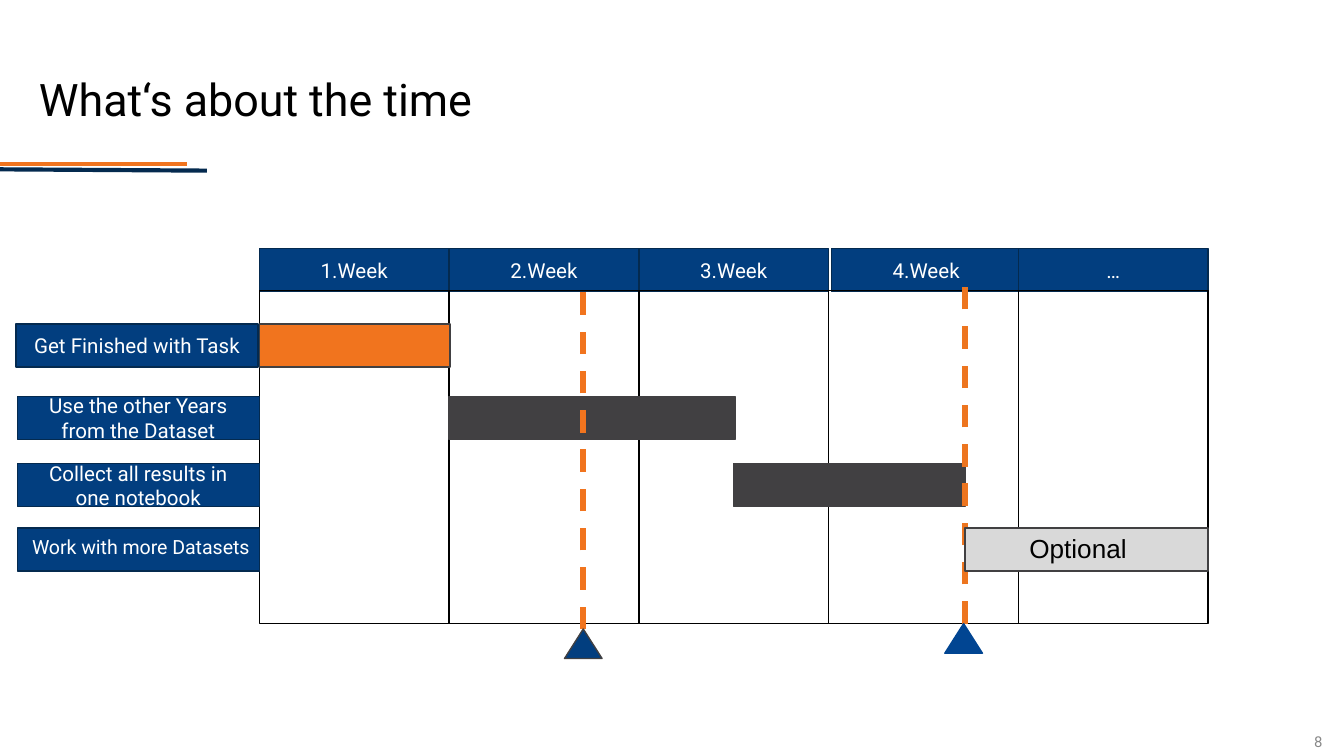
from lxml.etree import SubElement
from pptx import Presentation
from pptx.dml.color import RGBColor
from pptx.enum.dml import MSO_LINE
from pptx.enum.shapes import MSO_CONNECTOR, MSO_SHAPE
from pptx.enum.text import MSO_ANCHOR, PP_ALIGN
from pptx.oxml.ns import qn
from pptx.util import Inches, Pt

NAVY, DEEP_NAVY, BLUE = "023E7F", "042A4F", "014592"
ORANGE, AMBER, CHARCOAL, SILVER = "F1741E", "ED751F", "414042", "D9D9D9"
BLACK, WHITE, GREY = "000000", "FFFFFF", "888888"

WEEKS = ["1.Week", "2.Week", "3.Week", "4.Week", "…"]
HEADER_SHIFT = {"4.Week": 0.02}
# label, label left, top, bar left, bar width, bar fill
TASKS = [
    ("Get Finished with Task", 0.12, 2.41, 1.93, 1.42, ORANGE),
    ("Use the other Years from the Dataset", 0.13, 2.95, 3.34, 2.13, CHARCOAL),
    ("Collect all results in one notebook", 0.13, 3.45, 5.46, 1.72, CHARCOAL),
]
OPTIONAL_TOP = 3.93
# x, line bottom, line top, line colour, triangle left, fill, outline
MILESTONES = [
    (4.34, 4.68, 2.12, ORANGE, 4.2, NAVY, CHARCOAL),
    (7.18, 4.64, 2.07, AMBER, 7.03, BLUE, BLUE),
]
ACCENTS = [(1.22, 1.39, 1.22, ORANGE), (1.26, 1.54, 1.27, DEEP_NAVY)]

GRID_LEFT, GRID_RIGHT = 1.93, 8.99
COLUMN_WIDTH = (GRID_RIGHT - GRID_LEFT) / len(WEEKS)
HEADER_TOP, BODY_TOP, BODY_HEIGHT = 1.85, 2.16, 2.48
ROW_HEIGHT, LABEL_WIDTH = 0.32, 1.8

presentation = Presentation()
presentation.slide_width = Inches(10)
presentation.slide_height = Inches(10 * 9 / 16)
slide = presentation.slides.add_slide(presentation.slide_layouts[6])


def rgb(value):
    return RGBColor.from_string(value)


def write(shape, text, size=11, font="Roboto", color=WHITE, align=PP_ALIGN.CENTER,
          anchor=MSO_ANCHOR.MIDDLE, insets=(0.1, 0.1), spacing=None):
    """Put formatted text in a shape; insets are horizontal, vertical."""
    frame = shape.text_frame
    frame.word_wrap = True
    frame.vertical_anchor = anchor
    frame.margin_left = frame.margin_right = Inches(insets[0])
    frame.margin_top = frame.margin_bottom = Inches(insets[1])
    paragraph = frame.paragraphs[0]
    paragraph.alignment = align
    paragraph.line_spacing = spacing
    run = paragraph.add_run()
    run.text = text
    run.font.size, run.font.name = Pt(size), font
    run.font.color.rgb = rgb(color)


def add_text(left, top, width, height, text, **text_format):
    box = slide.shapes.add_textbox(*map(Inches, (left, top, width, height)))
    write(box, text, **text_format)


def add_box(left, top, width, height, fill=None, line=DEEP_NAVY, kind=MSO_SHAPE.RECTANGLE):
    shape = slide.shapes.add_shape(kind, *map(Inches, (left, top, width, height)))
    shape.shadow.inherit = False
    if fill:
        shape.fill.solid()
        shape.fill.fore_color.rgb = rgb(fill)
    else:
        shape.fill.background()
    shape.line.color.rgb = rgb(line)
    shape.line.width = Pt(0.75)
    return shape


def add_line(x1, y1, x2, y2, color, width, dash=None):
    line = slide.shapes.add_connector(MSO_CONNECTOR.STRAIGHT, *map(Inches, (x1, y1, x2, y2)))
    line.line.color.rgb = rgb(color)
    line.line.width = Pt(width)
    if dash:
        line.line.dash_style = dash
    SubElement(line._element.spPr, qn("a:effectLst"))


# Title, accent lines and page number
for start_y, end_x, end_y, color in ACCENTS:
    add_line(0, start_y, end_x, end_y, color, 2.25)
add_text(0.22, 0.33, 8.66, 0.86, "What‘s about the time", size=24, color=BLACK,
         align=PP_ALIGN.LEFT, insets=(0.07, 0.04), spacing=0.9)
add_text(7.66, 5.37, 2.25, 0.3, "8", size=8, color=GREY,
         align=PP_ALIGN.RIGHT, insets=(0.07, 0.04))

# Week columns
for index, week in enumerate(WEEKS):
    left = GRID_LEFT + index * COLUMN_WIDTH
    header = add_box(left + HEADER_SHIFT.get(week, 0), HEADER_TOP, COLUMN_WIDTH, ROW_HEIGHT, NAVY)
    write(header, week)
    add_box(left, BODY_TOP, COLUMN_WIDTH, BODY_HEIGHT, line=BLACK)

# Task bars, then milestones above them
for _, _, top, left, width, fill in TASKS:
    add_box(left, top, width, ROW_HEIGHT, fill, CHARCOAL)
for x, bottom, top, color, left, fill, outline in MILESTONES:
    add_line(x, bottom, x, top, color, 3, MSO_LINE.DASH)
    add_box(left, bottom, 0.28, 0.22, fill, outline, MSO_SHAPE.ISOSCELES_TRIANGLE)

# Task labels
for label, left, top, *_ in TASKS:
    write(add_box(left, top, LABEL_WIDTH, ROW_HEIGHT, NAVY), label)

# Optional task, with its texts in boxes of their own
add_box(0.13, OPTIONAL_TOP, LABEL_WIDTH, ROW_HEIGHT, NAVY)
add_box(7.18, OPTIONAL_TOP, 1.81, ROW_HEIGHT, SILVER, CHARCOAL)
free_text = dict(align=PP_ALIGN.LEFT, anchor=MSO_ANCHOR.TOP, insets=(0.1, 0.05))
add_text(0.14, OPTIONAL_TOP, 2.26, 0.51, "Work with more Datasets", size=10.5, **free_text)
add_text(7.56, 3.91, 1.32, 0.34, "Optional", size=14, font="Arial", color=BLACK, **free_text)

presentation.save("out.pptx")
